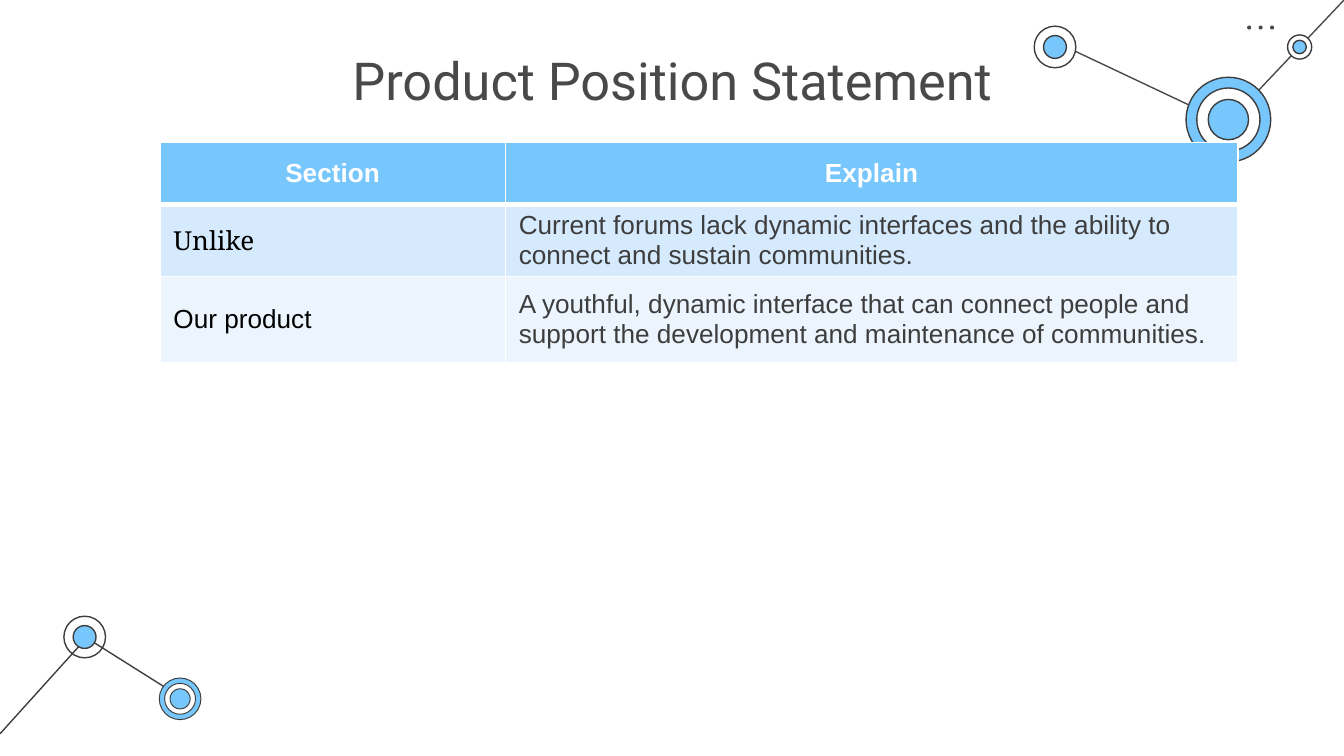
from dataclasses import dataclass

from lxml import etree
from pptx import Presentation
from pptx.dml.color import RGBColor
from pptx.enum.shapes import MSO_CONNECTOR, MSO_SHAPE
from pptx.enum.text import MSO_ANCHOR, MSO_AUTO_SIZE, PP_ALIGN
from pptx.oxml.ns import qn
from pptx.util import Pt

PX = 9144
OVAL = MSO_SHAPE.OVAL
STRAIGHT = MSO_CONNECTOR.STRAIGHT
TOP, MIDDLE = MSO_ANCHOR.TOP, MSO_ANCHOR.MIDDLE
NO_AUTOFIT = MSO_AUTO_SIZE.NONE
CENTER, LEFT = PP_ALIGN.CENTER, PP_ALIGN.LEFT


@dataclass(frozen=True)
class Theme:
    """Colours, fonts and type sizes of the deck."""
    sky: str = "77C6FC"
    pale: str = "D6EAFE"
    paler: str = "ECF5FE"
    white: str = "FFFFFF"
    black: str = "000000"
    ink: str = "3D3D3D"
    grey: str = "494949"
    title_font: str = "Roboto"
    body_font: str = "Arial"
    serif_font: str = "Noto Serif"
    title_size: int = 28
    body_size: int = 14
    hairline: float = 0.75


THEME = Theme()
ROWS = [("Section", "Explain"),
        ("Unlike", "Current forums lack dynamic interfaces and the ability to "
                   "connect and sustain communities."),
        ("Our product", "A youthful, dynamic interface that can connect people and "
                        "support the development and maintenance of communities.")]


def emu(px):
    """Turn px into EMU."""
    return round(px * PX)


def color(value):
    """Make a colour from its hex value."""
    return RGBColor.from_string(value)


def style_text(frame, font, size, tint, align, bold=False):
    """Format every run of a text frame."""
    for para in frame.paragraphs:
        para.alignment = align
        for span in para.runs:
            span.font.name = font
            span.font.size = Pt(size)
            span.font.bold = bold
            span.font.color.rgb = color(tint)


def add_disc(page, x, y, diameter, fill=None, line=None, width=THEME.hairline):
    """Draw a circle around a centre point."""
    disc = page.shapes.add_shape(OVAL, emu(x - diameter / 2), emu(y - diameter / 2),
                                 emu(diameter), emu(diameter))
    disc.shadow.inherit = False
    if fill:
        disc.fill.solid()
        disc.fill.fore_color.rgb = color(fill)
    else:
        disc.fill.background()
    if line:
        disc.line.color.rgb = color(line)
        disc.line.width = Pt(width)
    else:
        disc.line.fill.background()


def add_network(page, box, links, nodes, tint):
    """Draw links and ringed nodes relative to a box."""
    left, top = box
    for x1, y1, x2, y2 in links:
        link = page.shapes.add_connector(STRAIGHT, emu(left + x1), emu(top + y1),
                                         emu(left + x2), emu(top + y2))
        link.line.color.rgb = color(tint)
        link.line.width = Pt(THEME.hairline)
        etree.SubElement(link._element.spPr, qn("a:effectLst"))
    for x, y, width, rings in nodes:
        for diameter, fill in rings:
            add_disc(page, left + x, top + y, diameter, fill, THEME.ink, width)


def add_dots(page, box, gap=8.5):
    """Draw a row of three dots."""
    left, top, size = box
    for index in range(3):
        add_disc(page, left + size / 2 + index * gap, top + size / 2, size, THEME.grey)


def add_title(page, box, text):
    """Place and format the title placeholder."""
    title = page.shapes.title
    title.left, title.top, title.width, title.height = map(emu, box)
    frame = title.text_frame
    frame.text = text
    frame.word_wrap = True
    frame.auto_size = NO_AUTOFIT
    frame.vertical_anchor = TOP
    frame.margin_left = frame.margin_right = emu(10)
    frame.margin_top = frame.margin_bottom = emu(10)
    style_text(frame, THEME.title_font, THEME.title_size, THEME.grey, CENTER)


def set_borders(cell, top, bottom):
    """Give a cell white borders with the given top and bottom widths."""
    sides = {"a:lnL": 1, "a:lnR": 1, "a:lnT": top, "a:lnB": bottom}
    properties = cell._tc.get_or_add_tcPr()
    for index, (tag, width) in enumerate(sides.items()):
        border = etree.Element(qn(tag), w=str(int(Pt(width))))
        fill = etree.SubElement(border, qn("a:solidFill"))
        etree.SubElement(fill, qn("a:srgbClr"), val=THEME.white)
        properties.insert(index, border)


def add_statement_table(page, box, columns, heights):
    """Build the position statement table."""
    table = page.shapes.add_table(len(ROWS), len(columns), *map(emu, box)).table
    for column, width in zip(table.columns, columns):
        column.width = emu(width)
    fills = (THEME.sky, THEME.pale, THEME.paler)
    for r, (texts, height, fill) in enumerate(zip(ROWS, heights, fills)):
        table.rows[r].height = emu(height)
        for c, text in enumerate(texts):
            cell = table.cell(r, c)
            cell.text = text
            cell.vertical_anchor = MIDDLE
            cell.fill.solid()
            cell.fill.fore_color.rgb = color(fill)
            set_borders(cell, 3 if r == 1 else 1, 3 if r == 0 else 1)
            header = r == 0
            tint = THEME.white if header else (THEME.black, THEME.ink)[c]
            font = THEME.serif_font if text == "Unlike" else THEME.body_font
            style_text(cell.text_frame, font, THEME.body_size, tint,
                       CENTER if header else LEFT, header)


def add_statement_page(deck):
    """Compose the position statement slide."""
    page = deck.slides.add_slide(deck.slide_layouts[5])
    sky, white = THEME.sky, THEME.white
    add_network(page, (0, 458), [(65, 17, 138, 63), (0, 88, 65, 16)],
                [(63, 16, 0.75, [(31, None), (17, sky)]),
                 (134, 62, 0.5, [(31, sky), (23, white), (15, sky)])], THEME.ink)
    add_network(page, (769, 0), [(145, 92, 18, 32), (231, 0, 145, 91)],
                [(145, 89, 0.75, [(63, sky), (47, white), (30, sky)]),
                 (16, 35, 0.75, [(31, white), (17, sky)]),
                 (198, 35, 0.75, [(18, white), (10, sky)])], THEME.grey)
    add_dots(page, (928, 19, 3))
    add_title(page, (79, 26, 842, 63), "Product Position Statement")
    add_statement_table(page, (119, 106, 802, 156), (257, 545), (46, 46, 64))


def main():
    """Build and save the deck."""
    deck = Presentation()
    deck.slide_width = emu(1000)
    deck.slide_height = deck.slide_width * 9 // 16
    add_statement_page(deck)
    deck.save("out.pptx")


if __name__ == "__main__":
    main()
